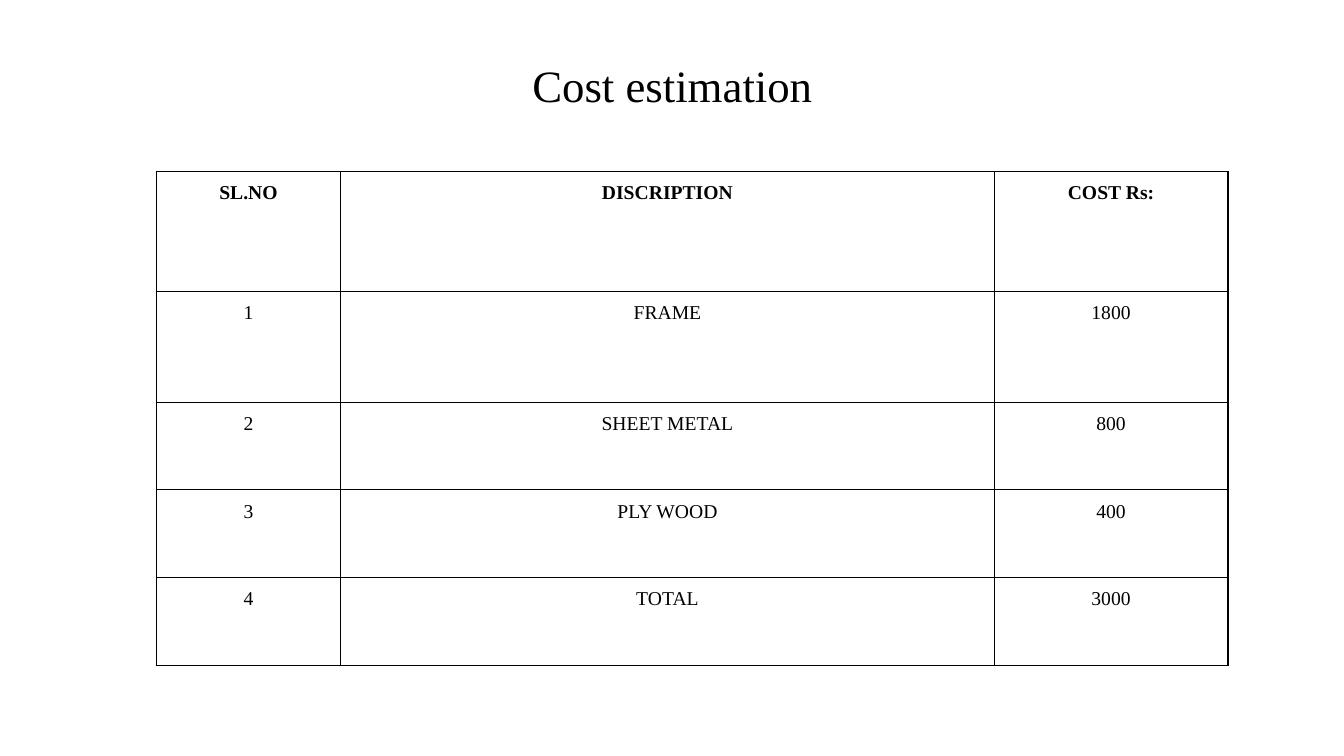
from lxml import etree
from pptx import Presentation
from pptx.dml.color import RGBColor
from pptx.enum.text import MSO_ANCHOR, PP_ALIGN
from pptx.oxml.ns import qn
from pptx.util import Inches, Pt

CENTER = PP_ALIGN.CENTER
MIDDLE = MSO_ANCHOR.MIDDLE
COLORS = {"ink": "000000", "paper": "FFFFFF"}
FONT = "Times New Roman"
COL_WIDTHS = [1.83, 6.48, 2.32]
ROW_HEIGHTS = [1.19, 1.1, 0.87, 0.87, 0.87]
COSTS = [
    ("SL.NO", "DISCRIPTION", "COST Rs:"),
    ("1", "FRAME", "1800"),
    ("2", "SHEET METAL", "800"),
    ("3", "PLY WOOD", "400"),
    ("4", "TOTAL", "3000"),
]


def write(tf, text, size=14, bold=False, spacing=1.5):
    """Write one centred paragraph into a text frame."""
    p = tf.paragraphs[0]
    p.alignment = CENTER
    p.line_spacing = spacing
    r = p.add_run()
    r.text = text
    r.font.name = FONT
    r.font.size = Pt(size)
    r.font.bold = bold
    r.font.color.rgb = RGBColor.from_string(COLORS["ink"])


def set_borders(cell, width=1):
    """Draw a solid line on all four sides of a cell."""
    tcPr = cell._tc.get_or_add_tcPr()
    for i, side in enumerate(("a:lnL", "a:lnR", "a:lnT", "a:lnB")):
        ln = etree.Element(qn(side), w=str(Pt(width)))
        fill = etree.SubElement(ln, qn("a:solidFill"))
        etree.SubElement(fill, qn("a:srgbClr"), val=COLORS["ink"])
        tcPr.insert(i, ln)


def add_title(s, text, x, y, w, h):
    """Place the slide title, centred in its box."""
    tf = s.shapes.add_textbox(Inches(x), Inches(y), Inches(w), Inches(h)).text_frame
    tf.word_wrap = True
    tf.vertical_anchor = MIDDLE
    write(tf, text, size=32, spacing=0.9)


def add_cost_table(s, rows, x, y):
    """Place the bordered cost table with its top left corner at x, y."""
    tbl = s.shapes.add_table(
        len(rows), len(COL_WIDTHS), Inches(x), Inches(y),
        Inches(sum(COL_WIDTHS)), Inches(sum(ROW_HEIGHTS))).table
    tbl.horz_banding = False
    for col, width in zip(tbl.columns, COL_WIDTHS):
        col.width = Inches(width)
    for i, (row, height) in enumerate(zip(tbl.rows, ROW_HEIGHTS)):
        row.height = Inches(height)
        for cell, text in zip(row.cells, rows[i]):
            cell.margin_left = cell.margin_right = Inches(0.07)
            cell.margin_top = cell.margin_bottom = 0
            cell.fill.solid()
            cell.fill.fore_color.rgb = RGBColor.from_string(COLORS["paper"])
            set_borders(cell)
            write(cell.text_frame, text, bold=i == 0)


def main():
    """Build the cost estimation slide."""
    prs = Presentation()
    prs.slide_width, prs.slide_height = Inches(13.33), Inches(7.5)
    s = prs.slides.add_slide(prs.slide_layouts[6])
    add_title(s, "Cost estimation", 0.92, -0.11, 11.5, 1.96)
    add_cost_table(s, COSTS, 1.55, 1.7)
    prs.save("out.pptx")


if __name__ == "__main__":
    main()
